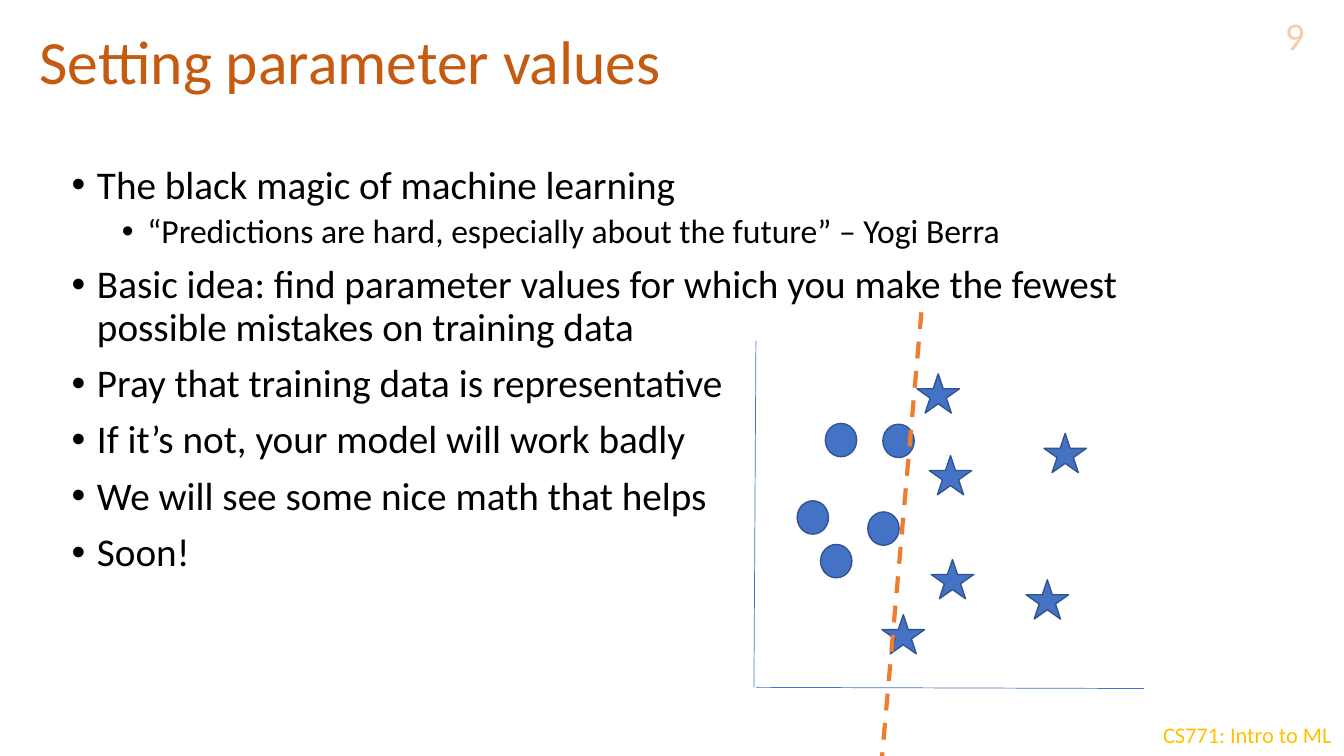
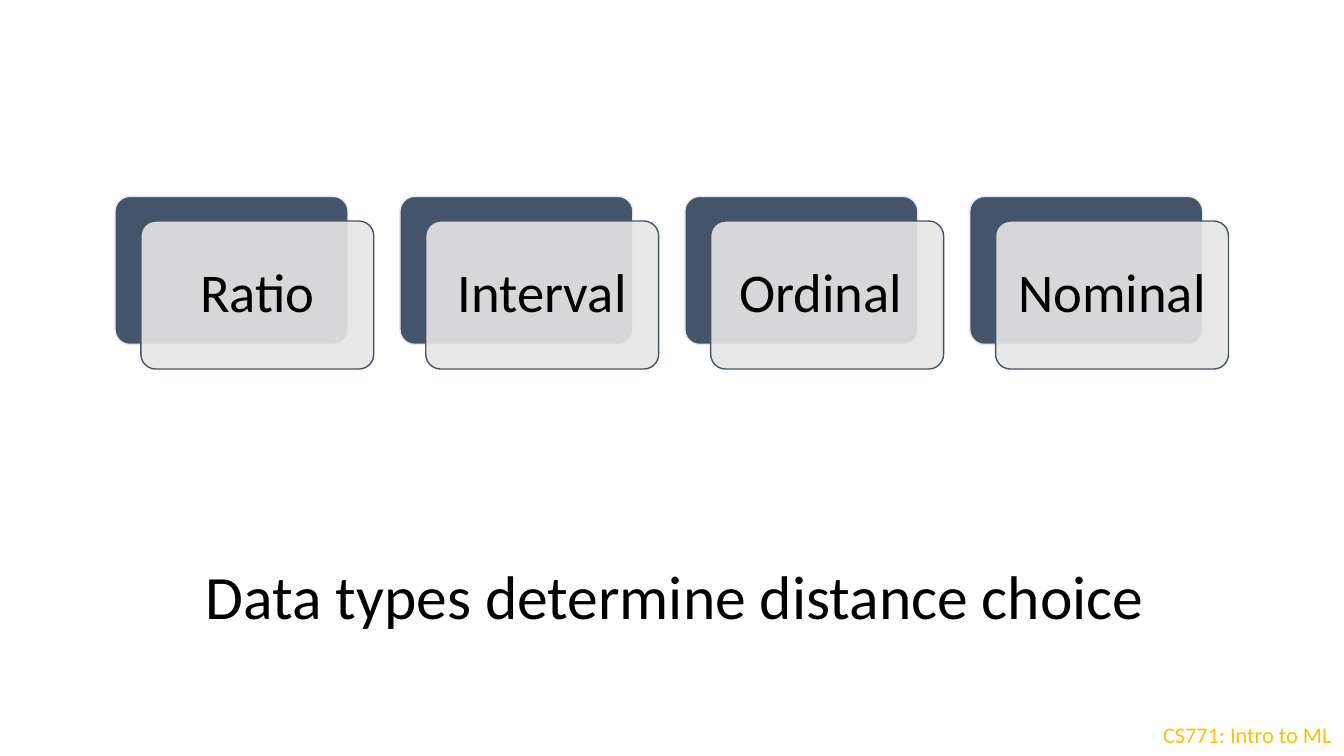
from lxml import etree
from pptx import Presentation
from pptx.dml.color import RGBColor
from pptx.enum.dml import MSO_LINE
from pptx.enum.shapes import MSO_CONNECTOR, MSO_SHAPE
from pptx.enum.text import MSO_ANCHOR, MSO_AUTO_SIZE, PP_ALIGN
from pptx.oxml.ns import qn
from pptx.util import Cm, Pt

OVAL, STAR, ROUND = MSO_SHAPE.OVAL, MSO_SHAPE.STAR_5_POINT, MSO_SHAPE.ROUNDED_RECTANGLE
STRAIGHT, DASH = MSO_CONNECTOR.STRAIGHT, MSO_LINE.DASH
MIDDLE, FIXED = MSO_ANCHOR.MIDDLE, MSO_AUTO_SIZE.NONE
LEFT, CENTER, RIGHT = PP_ALIGN.LEFT, PP_ALIGN.CENTER, PP_ALIGN.RIGHT

FONT = "Calibri"
BLACK, RUST, PEACH, GOLD = "000000", "C55A11", "F8CBAD", "FFC000"
BLUE, NAVY, ORANGE = "4472C4", "325491", "ED7D31"
SLATE, GREY = "44546A", "E7E6E6"

POINTS = [
    (0, "The black magic of machine learning"),
    (1, "“Predictions are hard, especially about the future” – Yogi Berra"),
    (0, "Basic idea: find parameter values for which you make the fewest "
        "possible mistakes on training data"),
    (0, "Pray that training data is representative"),
    (0, "If it’s not, your model will work badly"),
    (0, "We will see some nice math that helps"),
    (0, "Soon!"),
]
DOTS = [(1.8, 2.8), (2.87, 5.03), (1.09, 4.75), (1.68, 5.85), (3.25, 2.82)]
STARS = [(4.42, 3.61), (7.31, 3.05), (6.86, 6.74),
         (4.11, 1.55), (4.47, 6.23), (3.23, 7.62)]
TYPES = ["Ratio", "Interval", "Ordinal ", "Nominal"]


def color(code):
    """Turn a hex string into a colour."""
    return RGBColor.from_string(code)


def style(para, size, code, align=LEFT, lines=None):
    """Format one paragraph and its runs."""
    para.alignment = align
    para.line_spacing = lines
    for run in para.runs:
        run.font.name = FONT
        run.font.size = Pt(size)
        run.font.color.rgb = color(code)


def move(shape, box):
    """Move a shape to a box given in centimetres."""
    shape.left, shape.top, shape.width, shape.height = map(Cm, box)


def label(slide, box, text, size, code, align=LEFT, wrap=True):
    """Add a text box with one line."""
    frame = slide.shapes.add_textbox(*map(Cm, box)).text_frame
    frame.word_wrap = wrap
    frame.vertical_anchor = MIDDLE
    frame.text = text
    style(frame.paragraphs[0], size, code, align)


def form(slide, kind, box, fill, edge):
    """Add a filled preset shape with a one point outline."""
    shape = slide.shapes.add_shape(kind, *map(Cm, box))
    shape.shadow.inherit = False
    shape.fill.solid()
    shape.fill.fore_color.rgb = color(fill)
    shape.line.color.rgb = color(edge)
    shape.line.width = Pt(1)
    return shape


def rule(slide, ends, code, width, dash=None):
    """Add a straight line."""
    line = slide.shapes.add_connector(STRAIGHT, *map(Cm, ends))
    line.line.color.rgb = color(code)
    line.line.width = Pt(width)
    line.line.dash_style = dash
    etree.SubElement(line._element.spPr, qn("a:effectLst"))


def start(deck, layout, title, box, code, align):
    """Add a slide with its title and the course footer."""
    slide = deck.slides.add_slide(deck.slide_layouts[layout])
    label(slide, (29.06, 18.03, 4.83, 0.94), "CS771: Intro to ML", 16, GOLD, wrap=False)
    head = slide.shapes.title
    move(head, box)
    frame = head.text_frame
    frame.text = title
    frame.auto_size = FIXED
    frame.vertical_anchor = MIDDLE
    style(frame.paragraphs[0], 44, code, align, 0.9)
    return slide


def bullets(shape, box, points):
    """Fill the body placeholder with a two-level list."""
    move(shape, box)
    frame = shape.text_frame
    frame.text = "\n".join(text for _, text in points)
    frame.auto_size = FIXED
    for para, (level, _) in zip(frame.paragraphs, points):
        para.level = level
        style(para, 28 - 4 * level, BLACK, lines=0.9)
        para.space_before = Pt(10 - 5 * level)
        props = para._p.get_or_add_pPr()
        props.set("marL", str(Cm(0.64 + 1.27 * level)))
        props.set("indent", str(-Cm(0.64)))
        etree.SubElement(props, qn("a:buFont")).set("typeface", "Arial")
        etree.SubElement(props, qn("a:buChar")).set("char", "•")


def plot(slide, x, y):
    """Draw the two classes, the axes and the dividing line."""
    rule(slide, (x + 0.05, y + 0.72, x, y + 9.45), BLUE, 0.5)
    rule(slide, (x + 0.05, y + 9.45, x + 9.83, y + 9.48), BLUE, 0.5)
    for kind, spots, size in ((OVAL, DOTS, (0.79, 0.84)), (STAR, STARS, (1.07, 0.99))):
        for dx, dy in spots:
            form(slide, kind, (x + dx, y + dy, *size), BLUE, NAVY)
    rule(slide, (x + 4.22, y, x + 3.23, y + 11.18), ORANGE, 3, DASH)


def card(slide, x, y, text):
    """Draw a dark card with a clear, labelled card over it."""
    size = (5.87, 3.73)
    back = form(slide, ROUND, (x, y, *size), SLATE, GREY)
    front = form(slide, ROUND, (x + 0.65, y + 0.62, *size), GREY, SLATE)
    back.adjustments[0] = front.adjustments[0] = 0.1
    tint = front.fill._xPr.find(qn("a:solidFill"))[0]
    etree.SubElement(tint, qn("a:alpha")).set("val", "90000")
    frame = front.text_frame
    frame.margin_left = frame.margin_right = Cm(0.25)
    frame.vertical_anchor = MIDDLE
    frame.text = text
    style(frame.paragraphs[0], 39, BLACK, CENTER, 0.9)


def values(deck):
    """Build the slide on parameter values."""
    slide = start(deck, 1, "Setting parameter values",
                  (0.74, 0.48, 32.61, 2.29), RUST, LEFT)
    label(slide, (31.45, 0.38, 1.68, 1.02), "9", 28, PEACH, RIGHT)
    bullets(slide.placeholders[1], (1.55, 4.04, 29.97, 13.13), POINTS)
    plot(slide, 19, 7.87)


def kinds(deck):
    """Build the slide on data types."""
    slide = start(deck, 5, "Data types determine distance choice",
                  (3.05, 13.46, 27.94, 3.3), BLACK, CENTER)
    for i, text in enumerate(TYPES):
        card(slide, 2.9 + 7.18 * i, 4.95, text)


def main():
    """Build and save the deck."""
    deck = Presentation()
    deck.slide_width, deck.slide_height = Cm(33.87), Cm(19.05)
    values(deck)
    kinds(deck)
    deck.save("out.pptx")


if __name__ == "__main__":
    main()
